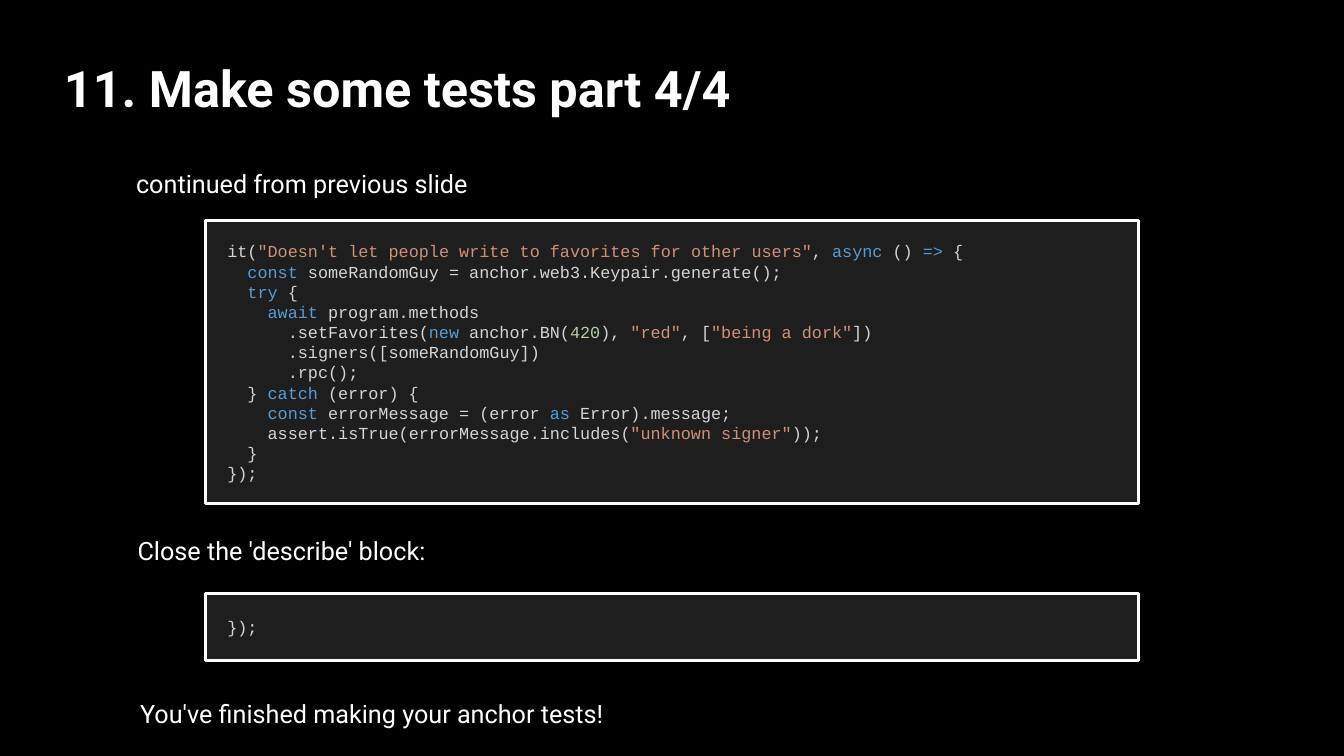
from dataclasses import dataclass

from pptx import Presentation
from pptx.dml.color import RGBColor
from pptx.enum.shapes import MSO_SHAPE
from pptx.enum.text import MSO_ANCHOR, MSO_AUTO_SIZE, PP_ALIGN
from pptx.util import Inches, Pt


@dataclass(frozen=True)
class Theme:
    back: str = "000000"
    panel: str = "1E1E1E"
    white: str = "FFFFFF"
    plain: str = "D4D4D4"
    key: str = "569CD6"
    quote: str = "CE9178"
    number: str = "B5CEA8"
    font: str = "Roboto"
    mono: str = "Courier New"
    title: int = 72
    body: int = 36
    code: int = 24
    border: int = 4


class Deck:
    def __init__(self, show, theme):
        self.theme = theme
        self.slide = show.slides.add_slide(show.slide_layouts[5])
        fill = self.slide.background.fill
        fill.solid()
        fill.fore_color.rgb = RGBColor.from_string(theme.back)

    def frame(self, shape, inset, wrap=True):
        """Set up the text frame and return its first paragraph."""
        frame = shape.text_frame
        margin = Inches(inset)
        style = {
            "margin_left": margin, "margin_right": margin,
            "margin_top": margin, "margin_bottom": margin,
            "vertical_anchor": MSO_ANCHOR.MIDDLE,
            "word_wrap": wrap,
            "auto_size": MSO_AUTO_SIZE.SHAPE_TO_FIT_TEXT,
        }
        for name, value in style.items():
            setattr(frame, name, value)
        para = frame.paragraphs[0]
        para.alignment = PP_ALIGN.LEFT
        return para

    def words(self, para, text, color, font, size, bold=False):
        run = para.add_run()
        run.text = text
        style = {"name": font, "size": Pt(size), "bold": bold}
        for name, value in style.items():
            setattr(run.font, name, value)
        run.font.color.rgb = RGBColor.from_string(color)

    def title(self, text, left, top, width, height):
        shape = self.slide.shapes.title
        place = {"left": left, "top": top, "width": width, "height": height}
        for name, value in place.items():
            setattr(shape, name, Inches(value))
        para = self.frame(shape, 0.06)
        para.line_spacing = 1.0
        look = self.theme
        self.words(para, text, look.white, look.font, look.title, True)

    def label(self, text, left, top, width):
        box = self.slide.shapes.add_textbox(
            Inches(left), Inches(top), Inches(width), Inches(0.69))
        para = self.frame(box, 0.06, wrap=False)
        para.line_spacing = 1.18
        look = self.theme
        self.words(para, text, look.white, look.font, look.body)

    def code(self, lines, top, height):
        look = self.theme
        box = self.slide.shapes.add_shape(
            MSO_SHAPE.RECTANGLE,
            Inches(4.07), Inches(top), Inches(18.52), Inches(height))
        box.shadow.inherit = False
        box.fill.solid()
        box.fill.fore_color.rgb = RGBColor.from_string(look.panel)
        box.line.color.rgb = RGBColor.from_string(look.white)
        box.line.width = Pt(look.border)
        para = self.frame(box, 0.44)
        for row, line in enumerate(lines):
            if row:
                para = box.text_frame.add_paragraph()
                para.alignment = PP_ALIGN.LEFT
            for part in line:
                text, color = part if isinstance(part, tuple) else (part, look.plain)
                self.words(para, text, color, look.mono, look.code)


def main():
    show = Presentation()
    show.slide_width, show.slide_height = Inches(26.67), Inches(15)
    theme = Theme()
    deck = Deck(show, theme)

    # Syntax colours for pieces of code
    def key(text):
        return text, theme.key

    def quote(text):
        return f'"{text}"', theme.quote

    # Heading
    deck.title("11. Make some tests part 4/4", 1.21, 0.46, 21.64, 2.53)

    # Last test
    deck.label("continued from previous slide", 2.64, 3.24, 6.72)
    deck.code([
        ["it(", quote("Doesn't let people write to favorites for other users"),
         ", ", key("async"), " () ", key("=>"), " {"],
        ["  ", key("const"), " someRandomGuy = anchor.web3.Keypair.generate();"],
        ["  ", key("try"), " {"],
        ["    ", key("await"), " program.methods"],
        ["      .setFavorites(", key("new"), " anchor.BN(", ("420", theme.number),
         "), ", quote("red"), ", [", quote("being a dork"), "])"],
        ["      .signers([someRandomGuy])"],
        ["      .rpc();"],
        ["  } ", key("catch"), " (error) {"],
        ["    ", key("const"), " errorMessage = (error ", key("as"),
         " Error).message;"],
        ["    assert.isTrue(errorMessage.includes(", quote("unknown signer"), "));"],
        ["  }"],
        ["});"],
    ], 4.38, 5.61)

    # End of the describe block
    deck.label("Close the 'describe' block:", 2.67, 10.53, 6.23)
    deck.code([["});"]], 11.77, 1.33)

    # Closing line
    deck.label("You've finished making your anchor tests!", 2.72, 13.76, 9.42)

    show.save("out.pptx")


if __name__ == "__main__":
    main()
